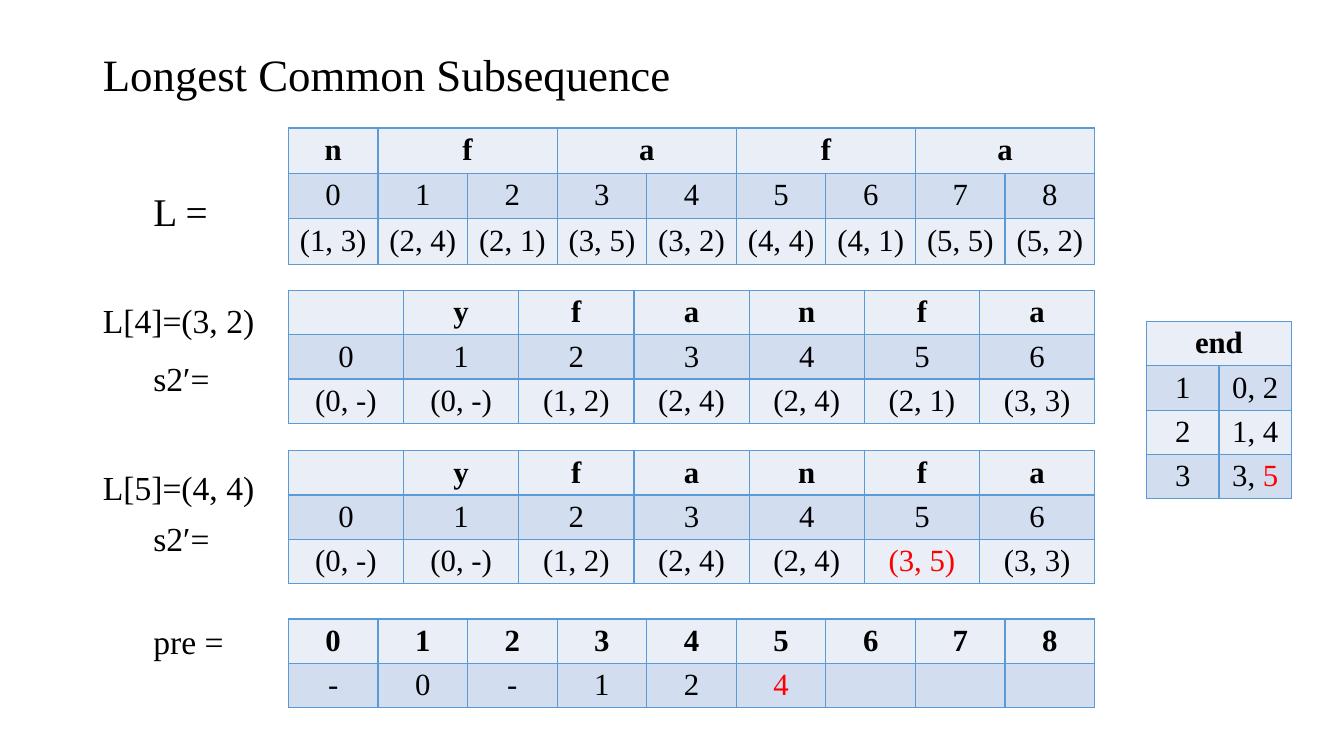
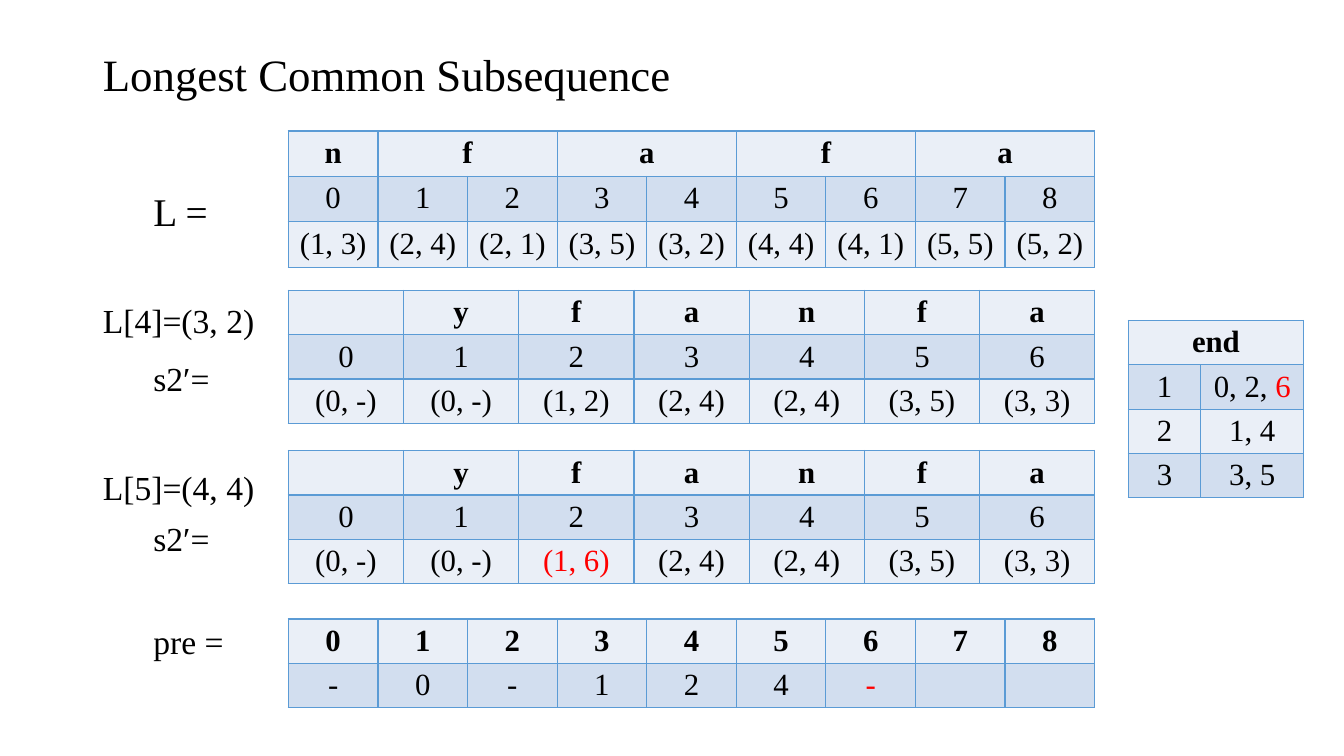
from pptx import Presentation
from pptx import util as u
from pptx.dml.color import RGBColor
from pptx.enum import text
from pptx.oxml import ns, xmlchemy

FONT = "Times New Roman"
BLACK = RGBColor(0x00, 0x00, 0x00)
RED = RGBColor(0xFF, 0x00, 0x00)
BORDER = RGBColor(0x5B, 0x9B, 0xD5)
BANDS = (RGBColor(0xEA, 0xEF, 0xF7), RGBColor(0xD2, 0xDE, 0xEF))

GRID_LEFT, GRID_WIDTH = 2.86, 8
ROW_HEIGHT = 0.44

TITLE = "Longest Common Subsequence"
LABELS = [
    ("L =", 28, 0.5, 0),
    ("L[4]=(3, 2)", 24, 0, 50),
    ("s2′=", 24, 0.5, 15),
    ("L[5]=(4, 4)", 24, 0, 52),
    ("s2′=", 24, 0.5, 11),
    ("pre =", 24, 0.5, 47),
]
DIGITS = list("012345678")
POSITIONS = [
    ["n", "f", None, "a", None, "f", None, "a", None],
    DIGITS,
    ["(1, 3)", "(2, 4)", "(2, 1)", "(3, 5)", "(3, 2)",
     "(4, 4)", "(4, 1)", "(5, 5)", "(5, 2)"],
]
SLIDES = [
    {
        "positions_top": 1.27,
        "before": ["(0, -)", "(0, -)", "(1, 2)", "(2, 4)", "(2, 4)", "(2, 1)", "(3, 3)"],
        "after": ["(0, -)", "(0, -)", "(1, 2)", "(2, 4)", "(2, 4)", "|(3, 5)", "(3, 3)"],
        "pre": ["-", "0", "-", "1", "2", "|4", "", "", ""],
        "end": ["0, 2", "1, 4", "3, |5"],
        "end_place": (11.37, 3.19, [0.72, 0.72]),
    },
    {
        "positions_top": 1.3,
        "before": ["(0, -)", "(0, -)", "(1, 2)", "(2, 4)", "(2, 4)", "(3, 5)", "(3, 3)"],
        "after": ["(0, -)", "(0, -)", "|(1, 6)", "(2, 4)", "(2, 4)", "(3, 5)", "(3, 3)"],
        "pre": ["-", "0", "-", "1", "2", "4", "|-", "", ""],
        "end": ["0, 2, |6", "1, 4", "3, 5"],
        "end_place": (11.19, 3.18, [0.72, 1.02]),
    },
]


def add_span(para, words, size, color=BLACK, bold=False):
    """Append one formatted run to a paragraph."""
    span = para.add_run()
    span.text = words
    span.font.name = FONT
    span.font.size = u.Pt(size)
    span.font.bold = bold
    span.font.color.rgb = color


def place(box, left, top, width, height):
    """Move a shape to a box given in inches."""
    box.left, box.top = u.Inches(left), u.Inches(top)
    box.width, box.height = u.Inches(width), u.Inches(height)


def add_title(page):
    """Fill and place the title."""
    box = page.shapes.title
    place(box, 0.92, 0.4, 11.5, 0.73)
    frame = box.text_frame
    frame.auto_size = text.MSO_AUTO_SIZE.NONE
    frame.vertical_anchor = text.MSO_ANCHOR.MIDDLE
    para = frame.paragraphs[0]
    para.alignment = text.PP_ALIGN.LEFT
    para.line_spacing = 0.9
    add_span(para, TITLE, 32)


def add_labels(page):
    """Write the row labels in the body placeholder."""
    box = page.placeholders[1]
    place(box, 0.92, 1.24, 11.5, 6.01)
    frame = box.text_frame
    frame.auto_size = text.MSO_AUTO_SIZE.NONE
    frame.vertical_anchor = text.MSO_ANCHOR.TOP
    frame.margin_top = u.Inches(0.67)
    for index, (words, size, indent, gap) in enumerate(LABELS):
        para = frame.paragraphs[0] if index == 0 else frame.add_paragraph()
        props = para._p.get_or_add_pPr()
        props.set("marL", str(u.Inches(indent)))
        props.set("indent", "0")
        props.append(xmlchemy.OxmlElement("a:buNone"))
        para.line_spacing = 0.9
        para.space_before = u.Pt(gap)
        add_span(para, words, size)


def add_borders(cell):
    """Draw a thin line on all four sides of a cell."""
    props = cell._tc.get_or_add_tcPr()
    for index, side in enumerate(("lnL", "lnR", "lnT", "lnB")):
        line = xmlchemy.OxmlElement(f"a:{side}")
        line.set("w", str(u.Pt(1)))
        fill = xmlchemy.OxmlElement("a:solidFill")
        color = xmlchemy.OxmlElement("a:srgbClr")
        color.set("val", str(BORDER))
        fill.append(color)
        line.append(fill)
        props.insert(index, line)


def add_grid(page, left, top, widths, rows, row_height=ROW_HEIGHT):
    """Add a banded table; None joins the cell to its left, text after a bar is red."""
    frame = page.shapes.add_table(
        len(rows), len(widths), u.Inches(left), u.Inches(top),
        u.Inches(sum(widths)), u.Inches(row_height * len(rows)))
    table = frame.table
    table.first_row = table.horz_banding = False
    for column, width in zip(table.columns, widths):
        column.width = u.Inches(width)
    for r, values in enumerate(rows):
        table.rows[r].height = u.Inches(row_height)
        for c, value in enumerate(values):
            cell = table.cell(r, c)
            cell.fill.solid()
            cell.fill.fore_color.rgb = BANDS[r % 2]
            add_borders(cell)
            if value is None:
                table.cell(r, c - 1).merge(cell)
                continue
            para = cell.text_frame.paragraphs[0]
            para.alignment = text.PP_ALIGN.CENTER
            plain, _, marked = value.partition("|")
            for words, color in ((plain, BLACK), (marked, RED)):
                if words:
                    add_span(para, words, 22, color, bold=r == 0)


def add_wide_grid(page, top, rows, row_height=ROW_HEIGHT):
    """Add a table of equal columns in the middle band of the slide."""
    count = len(rows[0])
    add_grid(page, GRID_LEFT, top, [GRID_WIDTH / count] * count, rows, row_height)


def add_state_grid(page, top, states):
    """Add the table of the second string with its states."""
    add_wide_grid(page, top, [["", *"yfanfa"], DIGITS[:7], states])


def add_end_grid(page, left, top, widths, ends):
    """Add the table of end positions for each length."""
    rows = [[str(length), value] for length, value in enumerate(ends, 1)]
    add_grid(page, left, top, widths, [["end", None], *rows])


def add_step(deck, step):
    """Add one slide showing a step of the algorithm."""
    page = deck.slides.add_slide(deck.slide_layouts[1])
    add_title(page)
    add_labels(page)
    add_wide_grid(page, step["positions_top"], POSITIONS, 0.45)
    add_state_grid(page, 4.47, step["after"])
    add_state_grid(page, 2.88, step["before"])
    add_wide_grid(page, 6.14, [DIGITS, step["pre"]])
    add_end_grid(page, *step["end_place"], step["end"])


def main():
    """Build and save the deck."""
    deck = Presentation()
    deck.slide_width, deck.slide_height = u.Inches(13.33), u.Inches(7.5)
    for step in SLIDES:
        add_step(deck, step)
    deck.save("out.pptx")


if __name__ == "__main__":
    main()
